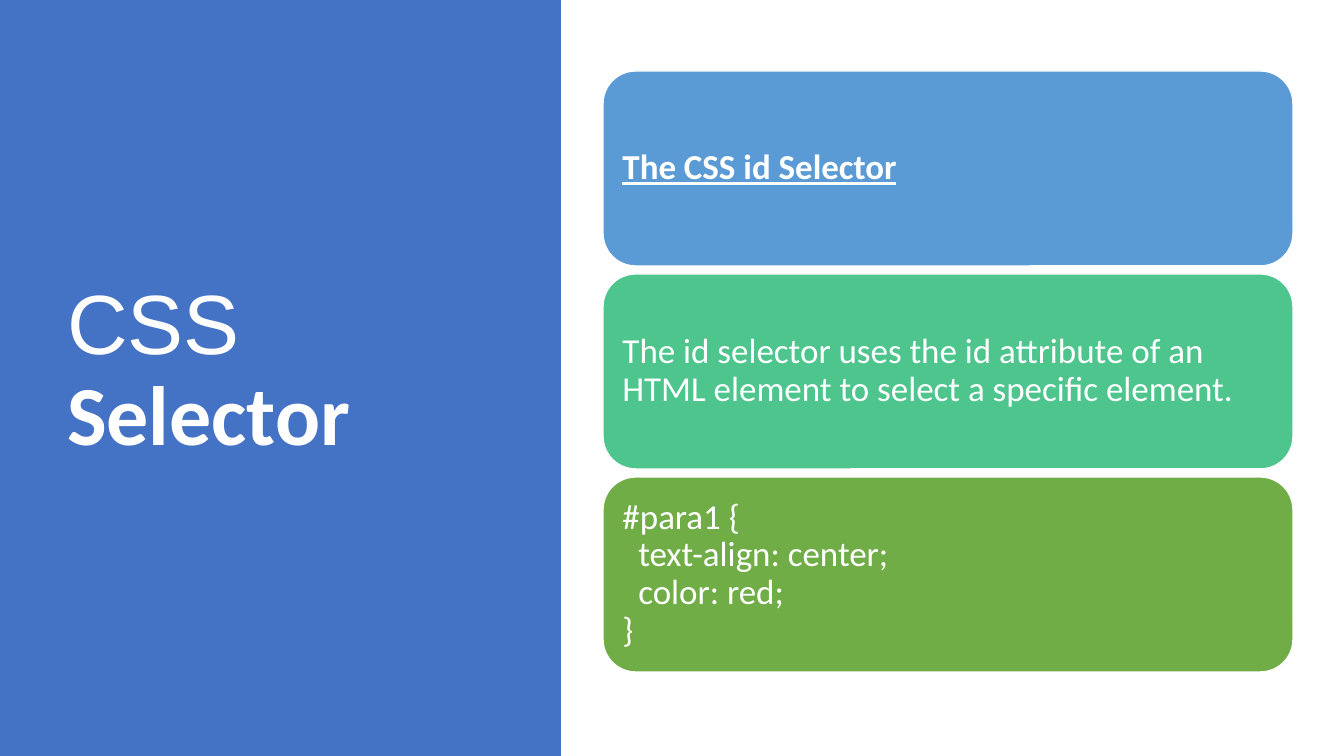
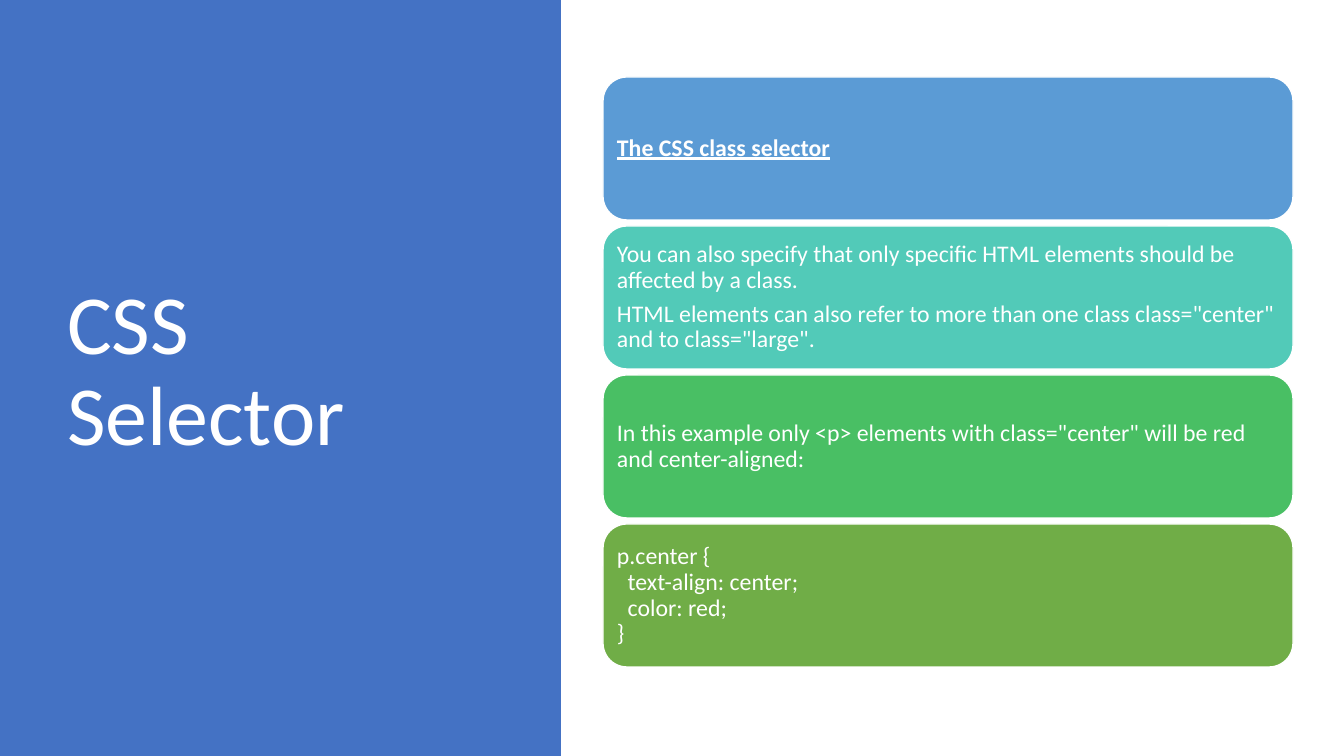
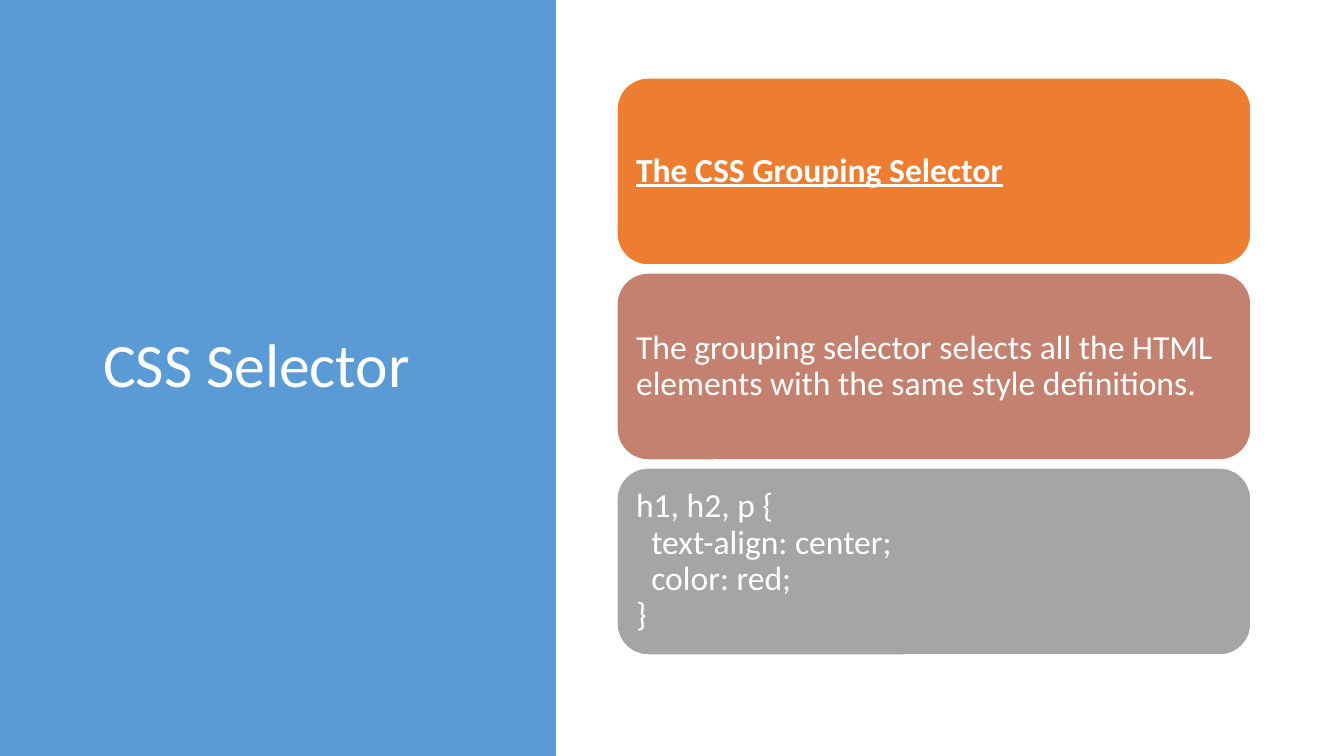
from lxml.etree import SubElement
from pptx import Presentation
from pptx.dml.color import RGBColor
from pptx.enum.shapes import MSO_SHAPE as SHAPE
from pptx.enum.text import MSO_ANCHOR as ANCHOR, MSO_AUTO_SIZE as AUTO_SIZE, PP_ALIGN as ALIGN
from pptx.oxml.ns import qn
from pptx.util import Emu, Pt

EMU_PER_PIXEL = 914400 / 100.8
SLIDE_WIDTH, SLIDE_HEIGHT = 1344, 756
TITLE_ONLY = 5
FONT = "Calibri"
WHITE = "FFFFFF"
ROYAL, SKY, GREEN = "4472C4", "5B9BD5", "70AD47"
MINT, TEAL, EMERALD = "4DC58D", "52CAB8", "49BF64"
ORANGE, CLAY, GRAY = "ED7D31", "C48170", "A5A5A5"
HEADING = {"bold": True, "underline": True}


def px(pixels):
    return Emu(round(pixels * EMU_PER_PIXEL))


def color(hex_value):
    return RGBColor.from_string(hex_value)


def css_rule(selector):
    lines = [f"{selector} {{", "\u00a0\u00a0text-align:\u00a0center;",
             "\u00a0\u00a0color:\u00a0red;", "}"]
    return "\v".join(lines)


def write(paragraph, text, *, size, font=FONT, bold=False, underline=False, space_after=0):
    paragraph.alignment = ALIGN.LEFT
    paragraph.line_spacing = 0.9
    paragraph.space_after = Pt(space_after)
    for index, line in enumerate(text.split("\v")):
        if index:
            paragraph.add_line_break()
            line_break = paragraph._p.findall(qn("a:br"))[-1]
            SubElement(line_break, qn("a:rPr"), sz=str(size * 100))
        run = paragraph.add_run()
        run.text = line
        run.font.name = font
        run.font.size = Pt(size)
        run.font.bold = bold
        run.font.underline = underline
        run.font.color.rgb = color(WHITE)


def add_block(slide, preset, left, top, width, height, fill, outline=None):
    block = slide.shapes.add_shape(preset, px(left), px(top), px(width), px(height))
    block.shadow.inherit = False
    block.fill.solid()
    block.fill.fore_color.rgb = color(fill)
    if outline:
        block.line.color.rgb = color(outline)
        block.line.width = Pt(1)
    else:
        block.line.fill.background()
    return block


def add_selector_slide(deck, panel_width, panel_color, title_box, title_runs, title_size):
    slide = deck.slides.add_slide(deck.slide_layouts[TITLE_ONLY])
    panel = add_block(slide, SHAPE.RECTANGLE, 0, 0, panel_width, SLIDE_HEIGHT, panel_color)
    title = slide.shapes.title
    panel.element.addnext(title.element)
    title.left, title.top, title.width, title.height = map(px, title_box)
    frame = title.text_frame
    frame.word_wrap = True
    frame.auto_size = AUTO_SIZE.NONE
    frame.vertical_anchor = ANCHOR.MIDDLE
    for text, style in title_runs:
        write(frame.paragraphs[0], text, size=title_size, **style)
    return slide


def add_cards(slide, left, top, width, height, gap, size, inset, cards):
    for row, (fill, texts, style) in enumerate(cards):
        card = add_block(slide, SHAPE.ROUNDED_RECTANGLE, left, top + row * (height + gap),
                         width, height, fill, outline=WHITE)
        frame = card.text_frame
        frame.word_wrap = True
        frame.vertical_anchor = ANCHOR.MIDDLE
        frame.margin_left = frame.margin_right = px(inset)
        frame.margin_top = frame.margin_bottom = px(inset)
        for index, text in enumerate(texts):
            paragraph = frame.add_paragraph() if index else frame.paragraphs[0]
            write(paragraph, text, size=size, space_after=round(size * 0.35), **style)


def main():
    deck = Presentation()
    deck.slide_width, deck.slide_height = px(SLIDE_WIDTH), px(SLIDE_HEIGHT)

    id_slide = add_selector_slide(
        deck, 561, ROYAL, (57, 69, 419, 607),
        [("CSS ", {"font": "Arial"}), ("Selector", {"bold": True})], 60)
    add_cards(id_slide, 603, 71, 690, 195, 8, 25, 10, [
        (SKY, ["The CSS id Selector"], HEADING),
        (MINT, ["The id selector uses the id attribute of an HTML element "
                "to select a specific element."], {}),
        (GREEN, [css_rule("#para1")], {}),
    ])

    class_slide = add_selector_slide(
        deck, 561, ROYAL, (57, 69, 419, 607), [("CSS Selector", {})], 60)
    add_cards(class_slide, 603, 77, 690, 143, 6, 17, 7, [
        (SKY, ["The CSS class selector"], HEADING),
        (TEAL, ["You can also specify that only specific HTML elements "
                "should be affected by a class.",
                'HTML elements can also refer to more than one class class="center" '
                'and to class="large".'], {}),
        (EMERALD, ['In this example only <p> elements with class="center" '
                   "will be red and center-aligned:\u00a0"], {}),
        (GREEN, [css_rule("p.center")], {}),
    ])

    grouping_slide = add_selector_slide(
        deck, 556, SKY, (93, 69, 415, 597), [("CSS Selector", {})], 44)
    add_cards(grouping_slide, 617, 78, 634, 187, 8, 24, 10, [
        (ORANGE, ["The CSS Grouping Selector"], HEADING),
        (CLAY, ["The grouping selector selects all the HTML elements "
                "with the same style definitions."], {}),
        (GRAY, [css_rule("h1, h2, p")], {}),
    ])

    deck.save("out.pptx")


main()
